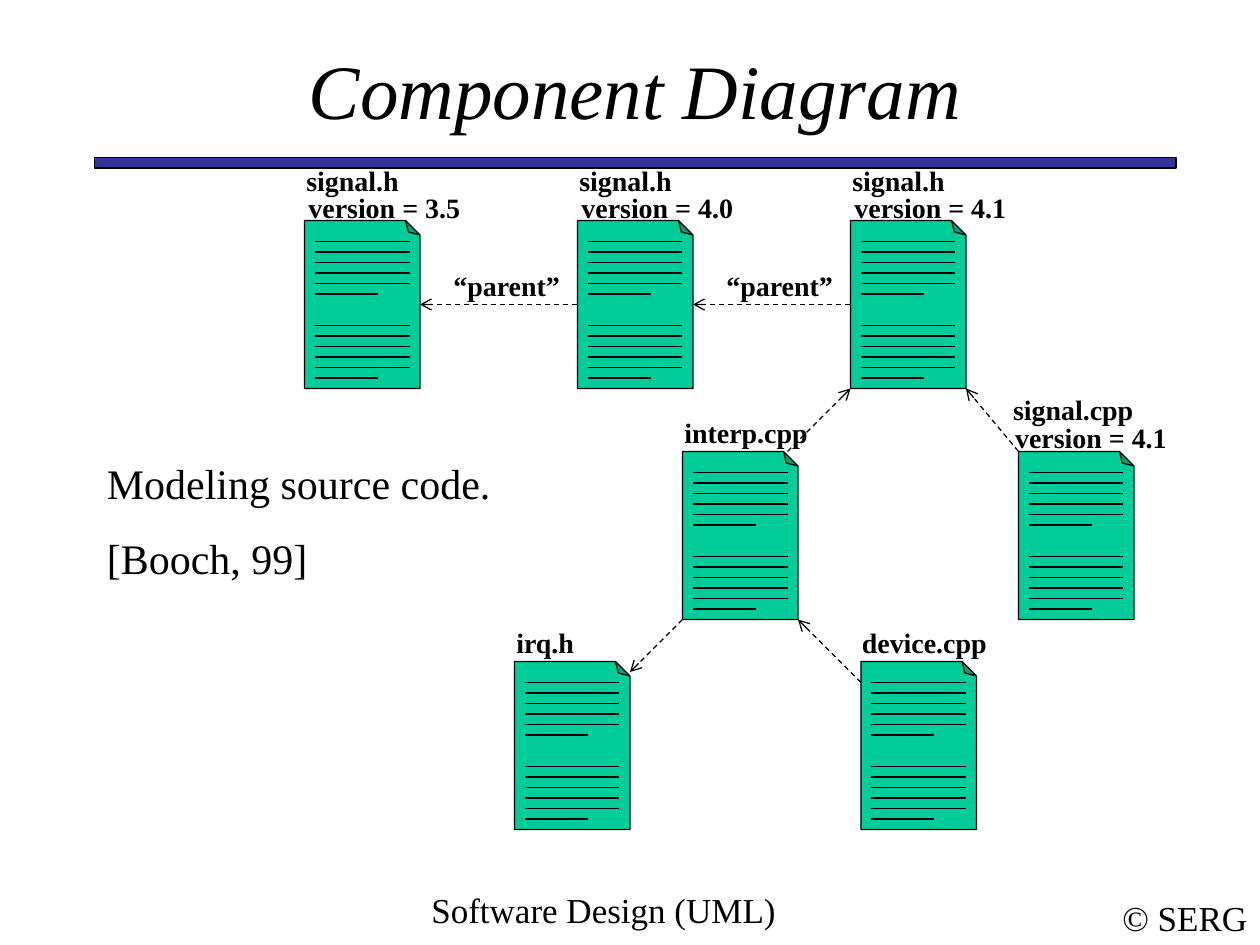
from dataclasses import dataclass

from lxml.etree import SubElement
from pptx import Presentation
from pptx.dml.color import RGBColor as RGB
from pptx.enum.dml import MSO_LINE
from pptx.enum.shapes import MSO_CONNECTOR as CONN, MSO_SHAPE as SHAPE
from pptx.enum.text import MSO_ANCHOR as ANCHOR, PP_ALIGN as ALIGN
from pptx.oxml.ns import qn
from pptx.util import Cm, Pt


@dataclass(frozen=True)
class Theme:
    font: str = "Times New Roman"
    ink: RGB = RGB(0, 0, 0)
    bar: RGB = RGB(0x33, 0x33, 0x99)
    page: RGB = RGB(0x00, 0xCC, 0x99)
    title: int = 44
    body: int = 24
    footer: int = 20
    label: int = 16
    line: float = 0.75
    gap: float = 13.8


T = Theme()
UNIT = 2.54 / 12
PAGE_W, PAGE_H = 11, 16
TEXT_ROWS = [(2, 9), (3, 9), (4, 9), (5, 9), (6, 9), (7, 6),
             (10, 9), (11, 9), (12, 9), (13, 9), (14, 9), (15, 6)]

TITLE = "Component Diagram"
BODY = ["Modeling source code.", "[Booch, 99]"]
FOOTER = "Software Design (UML)"
COPYRIGHT = "© SERG"

FILES = {
    "irq": (49, 63, [("irq.h", -1, -4, 13)]),
    "device": (82, 63, [("device.cpp", -1.1, -4, 17.2)]),
    "signal_cpp": (97, 43, [("signal.cpp", -1.7, -6.2, 21),
                            ("version = 4.1", -1.5, -3.5, 18)]),
    "interp": (65, 43, [("interp.cpp", -1, -4, 22)]),
}
VERSIONS = ["3.5", "4.0", "4.1"]
for i, version in enumerate(VERSIONS):
    FILES[version] = (29 + 26 * i, 21, [("signal.h", -1, -6, 13),
                                        (f"version = {version}", -0.8, -3.4, 18)])

DEPENDENCIES = [((75, 43), (81, 37)), ((97, 43), (92, 37)),
                ((82, 65), (76, 59)), ((65, 59), (60, 64))]


def u(n):
    return Cm(n * UNIT)


def add_text(s, box, lines, size, bold=False, italic=False,
             align=ALIGN.LEFT, anchor=ANCHOR.TOP, wrap=True):
    tf = s.shapes.add_textbox(*map(u, box)).text_frame
    tf.word_wrap = wrap
    tf.vertical_anchor = anchor
    for i, line in enumerate(lines):
        p = tf.add_paragraph() if i else tf.paragraphs[0]
        p.alignment = align
        if i:
            p.space_before = Pt(T.gap)
        r = p.add_run()
        r.text = line
        r.font.name, r.font.size = T.font, Pt(size)
        r.font.bold, r.font.italic = bold, italic
        r.font.color.rgb = T.ink


def add_box(shapes, kind, box, fill):
    sp = shapes.add_shape(kind, *map(u, box))
    sp.shadow.inherit = False
    sp.fill.solid()
    sp.fill.fore_color.rgb = fill
    sp.line.color.rgb = T.ink
    sp.line.width = Pt(T.line)
    return sp


def add_line(shapes, start, end, arrow=False):
    c = shapes.add_connector(CONN.STRAIGHT, *map(u, (*start, *end)))
    c.line.color.rgb = T.ink
    c.line.width = Pt(T.line)
    spPr = c._element.spPr
    if arrow:
        c.line.dash_style = MSO_LINE.DASH
        SubElement(spPr.find(qn("a:ln")), qn("a:tailEnd"), type="arrow")
    SubElement(spPr, qn("a:effectLst"))
    return c


def add_file(s, x, y):
    group = s.shapes.add_group_shape().shapes
    sp = add_box(group, SHAPE.FOLDED_CORNER, (x, y, PAGE_W, PAGE_H), T.page)
    spPr = sp._element.spPr
    spPr.find(qn("a:xfrm")).set("flipV", "1")
    guides = spPr.find(qn("a:prstGeom")).find(qn("a:avLst"))
    SubElement(guides, qn("a:gd"), name="adj", fmla="val 12500")
    for row, length in TEXT_ROWS:
        add_line(group, (x + 1, y + row), (x + 1 + length, y + row))
    return sp


def main():
    prs = Presentation()
    prs.slide_width, prs.slide_height = Cm(25.4), Cm(19.05)
    s = prs.slides.add_slide(prs.slide_layouts[6])

    add_text(s, (105.7, 84.8, 14.3, 5.2), [COPYRIGHT], T.footer,
             align=ALIGN.CENTER, anchor=ANCHOR.MIDDLE, wrap=False)
    add_box(s.shapes, SHAPE.RECTANGLE, (9, 15, 103, 1), T.bar)
    add_text(s, (31, 84, 53, 6), [FOOTER], T.footer, align=ALIGN.CENTER)
    add_text(s, (9, 5, 103, 7), [TITLE], T.title, italic=True,
             align=ALIGN.CENTER, anchor=ANCHOR.MIDDLE)

    pages = {name: add_file(s, x, y) for name, (x, y, _) in FILES.items()}

    for parent, child in zip(VERSIONS, VERSIONS[1:]):
        x, y, _ = FILES[parent]
        middle = y + PAGE_H / 2
        c = add_line(s.shapes, (FILES[child][0], middle), (x + PAGE_W, middle), True)
        c.begin_connect(pages[child], 1)
        c.end_connect(pages[parent], 3)
        add_text(s, (x + 13, y + 4, 13, 4.4), ["“parent”"], T.label, bold=True)

    for start, end in DEPENDENCIES:
        add_line(s.shapes, start, end, True)

    for x, y, labels in FILES.values():
        for text, dx, dy, width in labels:
            add_text(s, (x + dx, y + dy, width, 4.4), [text], T.label, bold=True)

    add_text(s, (9, 43, 41, 13.2), BODY, T.body)
    prs.save("out.pptx")


if __name__ == "__main__":
    main()
